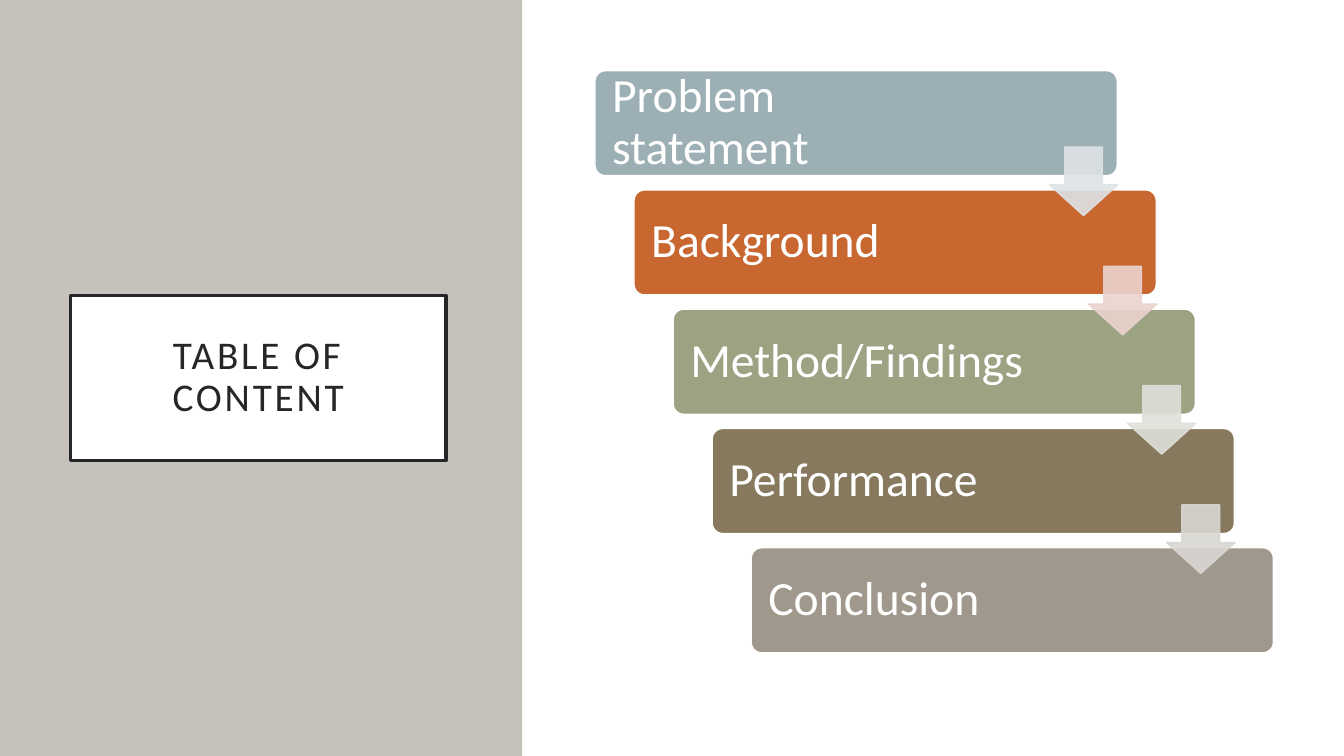
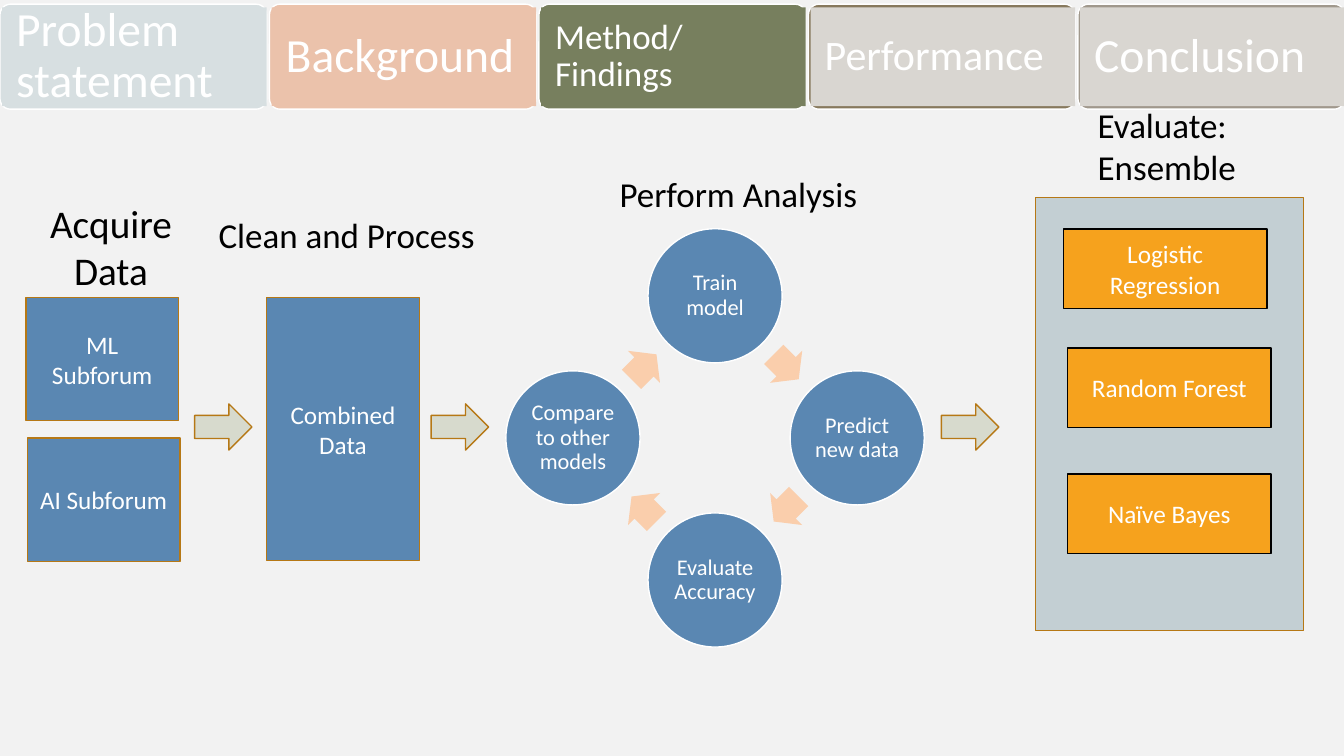
from math import cos, radians, sin

from pptx import Presentation
from pptx.dml.color import RGBColor
from pptx.enum.shapes import MSO_SHAPE as Kind
from pptx.enum.text import MSO_ANCHOR as Anchor, PP_ALIGN as Align
from pptx.oxml.ns import qn
from pptx.util import Pt

FONT = "Calibri"
WHITE, BLACK, INK = "FFFFFF", "000000", "262626"
SAND, PALE = "C6C1BA", "F2F2F2"
BLUE, GOLD, AMBER = "5A87B2", "B67815", "F6A21D"
MIST, PEACH, SAGE = "C3CFD3", "FACEAC", "D7DACD"
PAD = (7.2, 3.6, 7.2, 3.6)
WIDE = (10.08,) * 4

# label, fill
STEPS = [
    ("Problem statement", "9BAFB5"),
    ("Background", "C96731"),
    ("Method/Findings", "9CA383"),
    ("Performance", "87795D"),
    ("Conclusion", "A0988C"),
]
DROPS = ["DEE3E5", "EBD3CE", "DEE0D9", "D9D7D2"]
# edge fill, face fill, text size, in the order of STEPS
TABS = [
    ("D7DFE1", "D7DFE1", 34),
    ("EBC2AB", "EBC2AB", 34),
    ("777F5E", "777F5E", 25),
    ("87795D", "D9D6D1", 30),
    ("A0988C", "D9D6D1", 34),
]
# lines, size, alignment, box
HEADS = [
    (["Acquire Data"], 28, Align.CENTER, (16.5, 139, 125.5, 75)),
    (["Clean and Process"], 25, Align.CENTER, (147, 149, 201, 68)),
    (["Perform Analysis"], 25, Align.LEFT, (435.5, 119.5, 192, 37.5)),
    (["Evaluate:", "Ensemble"], 25, Align.LEFT, (777, 70.5, 117.5, 68)),
]
DATA = [
    ("ML Subforum", (18.5, 212.5, 109, 88)),
    ("AI Subforum", (19.5, 313, 109, 88)),
    ("Combined Data", (190.5, 212.5, 109, 188)),
]
MODELS = [
    ("Logistic Regression", 759.5, 163.5),
    ("Random Forest", 762.5, 248.5),
    ("Naïve Bayes", 762.5, 338.5),
]
FLOWS = [139, 308, 672.5]
CYCLE = ["Train model", "Predict new data", "Evaluate Accuracy",
         "Compare to other models"]


def rgb(code):
    return RGBColor.from_string(code)


def fade(node, share):
    """Set the opacity of every solid colour under node, in percent."""
    for clr in node.iter(qn("a:srgbClr")):
        alpha = clr.makeelement(qn("a:alpha"), {"val": str(share * 1000)})
        clr.append(alpha)


def draw(slide, kind, box, fill, line=None, width=1, adj=()):
    shape = slide.shapes.add_shape(kind, *map(Pt, box))
    shape.shadow.inherit = False
    shape.fill.solid()
    shape.fill.fore_color.rgb = rgb(fill)
    if line:
        shape.line.color.rgb = rgb(line)
        shape.line.width = Pt(width)
    else:
        shape.line.fill.background()
    for i, val in enumerate(adj):
        shape.adjustments[i] = val
    return shape


def write(shape, lines, size, color=WHITE, align=Align.CENTER,
          anchor=Anchor.MIDDLE, pad=PAD, gap=None, track=0):
    """Fill a shape with one paragraph per line; gap is the line spacing."""
    frame = shape.text_frame
    frame.word_wrap = True
    frame.vertical_anchor = anchor
    (frame.margin_left, frame.margin_top,
     frame.margin_right, frame.margin_bottom) = map(Pt, pad)
    for i, line in enumerate(lines):
        para = frame.add_paragraph() if i else frame.paragraphs[0]
        para.alignment = align
        if gap:
            para.line_spacing = gap
        run = para.add_run()
        run.text = line
        run.font.name = FONT
        run.font.size = Pt(size)
        run.font.color.rgb = rgb(color)
        if track:
            run.font._element.set("spc", str(track * 100))


def page(deck, color):
    slide = deck.slides.add_slide(deck.slide_layouts[6])
    slide.background.fill.solid()
    slide.background.fill.fore_color.rgb = rgb(color)
    return slide


def contents(deck):
    slide = page(deck, WHITE)
    draw(slide, Kind.RECTANGLE, (0, 0, 373, 540), SAND)
    title = draw(slide, Kind.RECTANGLE, (50.5, 211, 268, 118), WHITE, INK, 2.5)
    write(title, ["TABLE OF CONTENT"], 28, INK, pad=(14.4,) * 4,
          gap=0.9, track=2)
    left, top, dx, dy = 425, 50.5, 27.9, 85.2
    for i, (label, fill) in enumerate(STEPS):
        bar = draw(slide, Kind.ROUNDED_RECTANGLE,
                   (left + i * dx, top + i * dy, 373, 75),
                   fill, WHITE, adj=[0.1])
        write(bar, [label], 34, align=Align.LEFT,
              pad=(10.08, 10.08, 96, 10.08), gap=0.9)
    for i, fill in enumerate(DROPS):
        drop = draw(slide, Kind.DOWN_ARROW,
                    (left + 324.5 + i * dx, top + 54.5 + i * dy, 49, 49),
                    fill, fill, adj=[0.55, 0.45])
        fade(drop._element.spPr, 90)


def cycle(slide, cx, cy):
    """Draw the ring of stages, clockwise from the top, with turned arrows."""
    size, far, near = 95.8, 101.5, 71.8
    wide, high = 25.2, 32.4
    for i, label in enumerate(CYCLE):
        turn = radians(90 * i - 90)
        x, y = cx + far * cos(turn), cy + far * sin(turn)
        disc = draw(slide, Kind.OVAL,
                    (x - size / 2, y - size / 2, size, size), BLUE, WHITE)
        write(disc, [label], 16, pad=(1.44,) * 4, gap=0.9)
        turn = radians(90 * i - 45)
        x, y = cx + near * cos(turn), cy + near * sin(turn)
        arrow = draw(slide, Kind.RIGHT_ARROW,
                     (x - wide / 2, y - high / 2, wide, high),
                     PEACH, adj=[0.6, 0.5])
        arrow.rotation = 45 + 90 * i


def tabs(slide):
    step, top = 192.5, 3
    for i, ((label, _), (edge, face, size)) in enumerate(zip(STEPS, TABS)):
        draw(slide, Kind.ROUNDED_RECTANGLE, (i * step, top, 190.5, 75),
             edge, WHITE, adj=[0.1])
        front = draw(slide, Kind.RECTANGLE,
                     (i * step + 1.5, top + 2.2, 189, 70.6), face)
        write(front, [label], size, align=Align.LEFT, pad=WIDE, gap=0.9)


def method(deck):
    slide = page(deck, PALE)
    for label, box in DATA:
        write(draw(slide, Kind.RECTANGLE, box, BLUE, GOLD), [label], 18)
    cycle(slide, 510.8, 312.8)
    draw(slide, Kind.RECTANGLE, (739.5, 141, 191.5, 309.5), MIST, GOLD)
    for label, x, y in MODELS:
        card = draw(slide, Kind.RECTANGLE, (x, y, 145.5, 57), AMBER, BLACK)
        write(card, [label], 18)
    for lines, size, align, box in HEADS:
        head = slide.shapes.add_textbox(*map(Pt, box))
        write(head, lines, size, BLACK, align, Anchor.TOP)
    for x in FLOWS:
        draw(slide, Kind.RIGHT_ARROW, (x, 288.5, 41, 33), SAGE, GOLD)
    tabs(slide)


def main():
    deck = Presentation()
    deck.slide_width, deck.slide_height = Pt(960), Pt(540)
    contents(deck)
    method(deck)
    deck.save("out.pptx")


if __name__ == "__main__":
    main()
